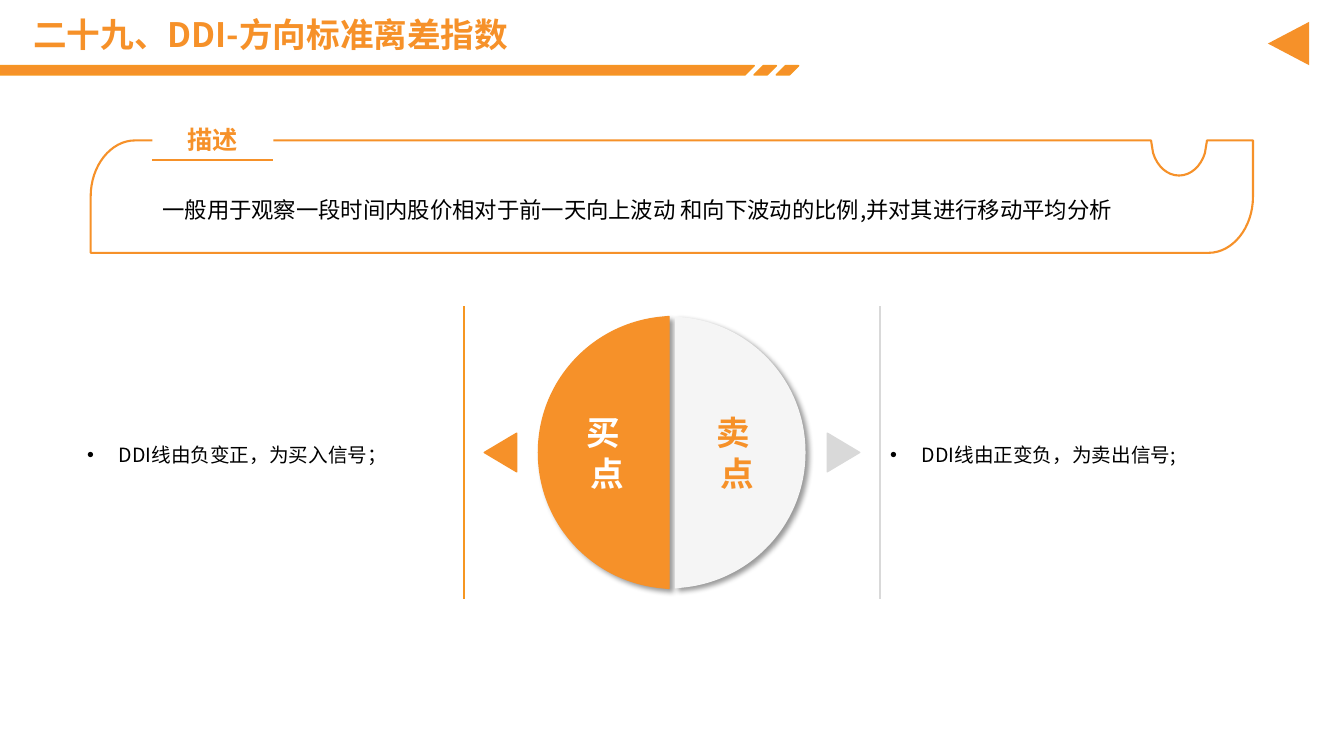
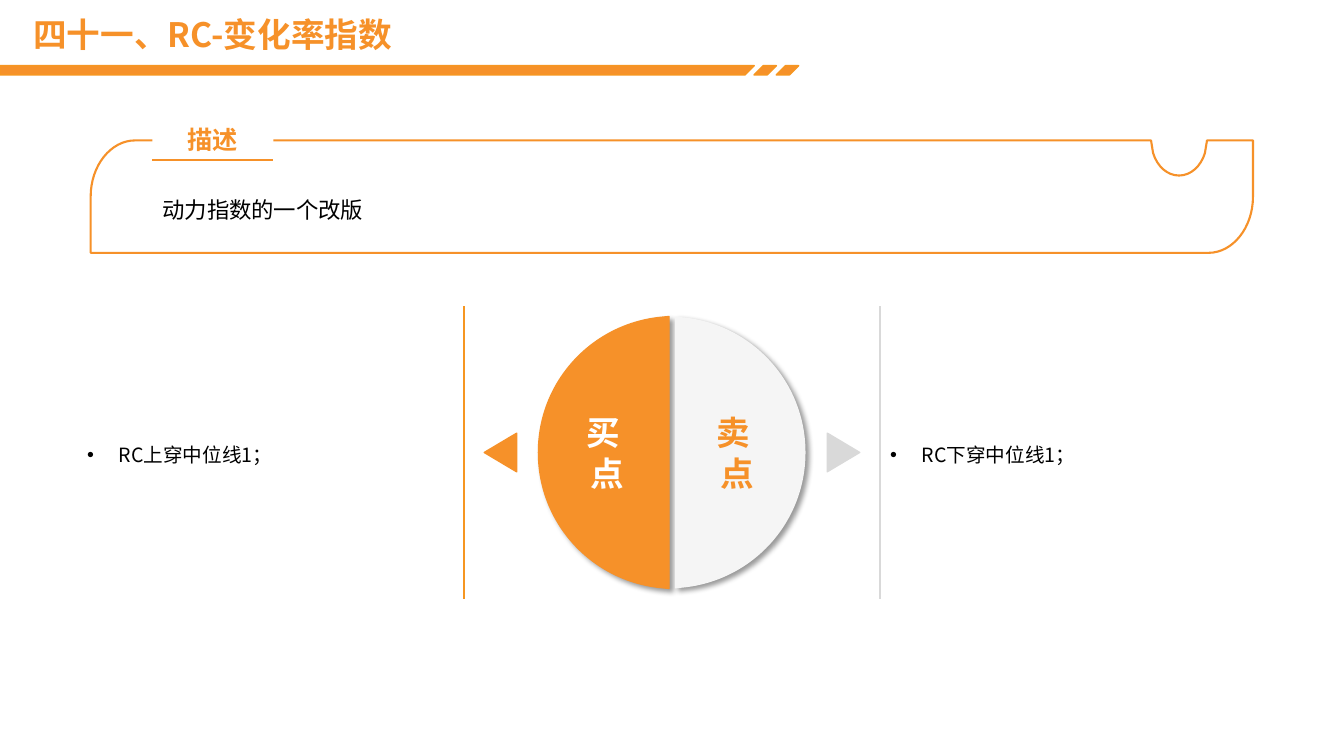
from dataclasses import dataclass
from itertools import chain, islice

from lxml.etree import SubElement
from pptx import Presentation
from pptx.dml.color import RGBColor
from pptx.enum.shapes import MSO_CONNECTOR as CONN, MSO_SHAPE as SHAPE
from pptx.enum.text import MSO_ANCHOR, MSO_AUTO_SIZE, PP_ALIGN as ALIGN
from pptx.oxml.ns import qn
from pptx.util import Pt

FONT = "Noto Sans CJK SC"
COLORS = {
    "orange": "F69129", "amber": "F69621", "grey": "D9D9D9",
    "pale": "F5F5F5", "white": "FFFFFF", "black": "000000",
}
Point = tuple[float, float]
Segment = tuple[Point, ...]  # one point is a line, three are a Bezier curve

MID_X, MID_Y = 480, 323.2
ARROW_REACH = 122.5


@dataclass(frozen=True)
class Side:
    direction: int
    label: str
    label_left: float
    label_color: str
    fill: str
    outline: str | None
    arrow: str
    rule: str
    rule_x: float
    list_left: float


@dataclass(frozen=True)
class Indicator:
    title: str
    description: str
    signals: tuple[str, str]
    back_arrow: bool = False


SIDES = (
    Side(-1, "买 \n点", 390.6, "white", "orange", "orange", "orange", "amber", 331.6, 55.1),
    Side(1, "卖 \n点", 483.6, "orange", "pale", None, "grey", "grey", 628.5, 628.7),
)
INDICATORS = (
    Indicator("二十九、DDI-方向标准离差指数",
              "一般用于观察一段时间内股价相对于前一天向上波动 和向下波动的比例,并对其进行移动平均分析",
              ("DDI线由负变正，为买入信号；", "DDI线由正变负，为卖出信号;"), back_arrow=True),
    Indicator("四十一、RC-变化率指数", "动力指数的一个改版",
              ("RC上穿中位线1；", "RC下穿中位线1；")),
)


def rgb(name: str) -> RGBColor:
    return RGBColor.from_string(COLORS[name])


def paint(sp, fill: str | None = None, line: str | None = None, width: float = 1):
    sp.shadow.inherit = False
    if fill:
        sp.fill.solid()
        sp.fill.fore_color.rgb = rgb(fill)
    else:
        sp.fill.background()
    if line:
        sp.line.color.rgb = rgb(line)
        sp.line.width = Pt(width)
    else:
        sp.line.fill.background()
    return sp


def write(tf, text: str, *, size: float, color: str, bold: bool = False,
          align=ALIGN.LEFT, spacing: float = 1, after: float = 0, bottom: float = 3.6) -> None:
    tf.word_wrap = True
    tf.auto_size = MSO_AUTO_SIZE.NONE
    tf.vertical_anchor = MSO_ANCHOR.MIDDLE
    tf.margin_bottom = Pt(bottom)
    tf.text = text
    for p in tf.paragraphs:
        p.alignment, p.line_spacing = align, spacing
        p.space_before, p.space_after = Pt(0), Pt(after)
        for r in p.runs:
            r.font.size, r.font.bold, r.font.name = Pt(size), bold, FONT
            r.font.color.rgb = rgb(color)
            SubElement(r.font._element, qn("a:ea"), typeface=FONT)


def add_bullet(p, indent: float) -> None:
    pPr = p._p.get_or_add_pPr()
    pPr.set("marL", str(Pt(indent)))
    pPr.set("indent", str(Pt(-indent)))
    SubElement(pPr, qn("a:buFont"), typeface="Arial")
    SubElement(pPr, qn("a:buChar"), char="•")


def place(sp, left: float, top: float, width: float, height: float) -> None:
    sp.left, sp.top, sp.width, sp.height = Pt(left), Pt(top), Pt(width), Pt(height)


def text_box(slide, left: float, top: float, width: float, height: float, text: str, **fmt):
    sp = slide.shapes.add_textbox(Pt(left), Pt(top), Pt(width), Pt(height))
    write(sp.text_frame, text, **fmt)


def line(slide, x1: float, y1: float, x2: float, y2: float, color: str) -> None:
    cxn = slide.shapes.add_connector(CONN.STRAIGHT, Pt(x1), Pt(y1), Pt(x2), Pt(y2))
    cxn.line.color.rgb = rgb(color)
    cxn.line.width = Pt(1.5)
    SubElement(cxn.element.spPr, qn("a:effectLst"))


def outline(slide, start: Point, segments: list[Segment], **look):
    """Draw a closed freeform, joining each three-point segment into a curve."""
    builder = slide.shapes.build_freeform(Pt(start[0]), Pt(start[1]))
    builder.add_line_segments([(Pt(x), Pt(y)) for x, y in chain(*segments)], close=True)
    sp = builder.convert_to_shape()
    nodes = iter(sp.element.xpath(".//a:lnTo"))
    for segment in segments:
        first, *rest = islice(nodes, len(segment))
        if rest:
            first.tag = qn("a:cubicBezTo")
        for node in rest:
            first.append(node[0])
            node.getparent().remove(node)
    return paint(sp, **look)


def triangle(slide, cx: float, cy: float, width: float, height: float, rotation: float, **look):
    sp = slide.shapes.add_shape(SHAPE.ISOSCELES_TRIANGLE, Pt(cx - width / 2),
                                Pt(cy - height / 2), Pt(width), Pt(height))
    sp.rotation = rotation
    paint(sp, **look)


def cast_shadow(sp) -> None:
    effects = sp.element.spPr.find(qn("a:effectLst"))
    shadow = SubElement(effects, qn("a:outerShdw"), blurRad=str(Pt(4)), dist=str(Pt(3)),
                        dir="2700000", algn="tl", rotWithShape="0")
    color = SubElement(shadow, qn("a:srgbClr"), val=COLORS["black"])
    SubElement(color, qn("a:alpha"), val="40000")


def set_up_layout(layout) -> None:
    """Move the title and list placeholders and drop the unused footers."""
    places = {0: (16.6, 10.8, 877.7, 31)}
    places |= {i: (s.list_left, 216.7, 275, 213.1) for i, s in enumerate(SIDES, 1)}
    for ph in list(layout.placeholders):
        idx = ph.placeholder_format.idx
        if idx in places:
            place(ph, *places[idx])
        else:
            layout.shapes.element.remove(ph.element)


def add_layout_bands(slide) -> None:
    """Draw the title bands and move them to the layout, behind every slide."""
    top, bottom, slant = 46.9, 53.5, 6.6
    bands = ((0, 0, 538.8), (545.2, 538.6, 554.6), (561.1, 554.5, 570.5))
    for i, (top_left, bottom_left, right) in enumerate(bands):
        sp = outline(slide, (top_left, top),
                     [((right, top),), ((right - slant, bottom),), ((bottom_left, bottom),)],
                     fill="orange", line="amber")
        sp.element.xpath("./p:nvSpPr/p:cNvPr")[0].set("id", str(100 + i))
        slide.slide_layout.shapes.element.append(sp.element)


def add_frame(slide) -> None:
    left, top, right, bottom = 64.8, 100.3, 895, 180.6
    rx, ry, bend_x, bend_y = 31.7, 40.3, 14.4, 18
    notch, dip, low = 842.2, 109.4, 125.4
    outline(slide, (left + rx, top), [
        ((notch - 20, top),),
        ((notch - 18.5, dip),),
        ((notch - 15.6, 118.8), (notch - 8.4, low), (notch, low)),
        ((notch + 8.4, low), (notch + 15.6, 118.8), (notch + 18.5, dip)),
        ((notch + 20, top),),
        ((right, top),),
        ((right, top + ry),),
        ((right, bottom - bend_y), (right - bend_x, bottom), (right - rx, bottom)),
        ((left, bottom),),
        ((left, bottom - ry),),
        ((left, top + bend_y), (left + bend_x, top), (left + rx, top)),
    ], line="orange", width=1.5)


def add_description(slide, text: str) -> None:
    text_box(slide, 108.9, 124.6, 771.8, 46, text, size=16, color="black",
             spacing=1.3, bottom=5.8)
    add_frame(slide)
    tab = slide.shapes.add_shape(SHAPE.RECTANGLE, Pt(108.9), Pt(83.8), Pt(86.4), Pt(31))
    paint(tab, fill="white")
    write(tab.text_frame, "描述", size=18, color="orange", bold=True, align=ALIGN.CENTER)
    line(slide, 108.9, 114.6, 195.3, 114.6, "orange")


def add_half_disc(slide, side: Side) -> None:
    def at(out: float, down: float) -> Point:
        return MID_X + side.direction * out, MID_Y + down

    half = outline(slide, at(2.1, -97.1), [
        (at(2.1, 97.1),),
        (at(8.3, 96.5),),
        (at(57.3, 91.4), at(95.4, 50.4), at(95.4, 0)),
        (at(95.4, -50.4), at(57.3, -91.4), at(8.3, -96.5)),
    ], fill=side.fill, line=side.outline)
    cast_shadow(half)


def add_side(slide, side: Side) -> None:
    d = side.direction
    add_half_disc(slide, side)
    text_box(slide, side.label_left, 286.9, 86.4, 72.7, side.label, size=24,
             color=side.label_color, bold=True, align=ALIGN.CENTER)
    triangle(slide, MID_X + d * ARROW_REACH, MID_Y, 27.6, 23.2, 90 * d % 360,
             fill=side.arrow, line=side.arrow)
    line(slide, side.rule_x, 218.9, side.rule_x, 427.7, side.rule)


def add_indicator(slide, item: Indicator) -> None:
    write(slide.shapes.title.text_frame, item.title, size=24, color="orange",
          bold=True, spacing=0.9)
    for i, (side, signal) in enumerate(zip(SIDES, item.signals), 1):
        tf = slide.placeholders[i].text_frame
        write(tf, signal, size=14, color="black", spacing=1.2, after=6)
        add_bullet(tf.paragraphs[0], 22.4)
        add_side(slide, side)
    add_description(slide, item.description)
    if item.back_arrow:
        triangle(slide, 920.4, 31.1, 31, 29.5, 270, fill="orange")


def main() -> None:
    prs = Presentation()
    prs.slide_width, prs.slide_height = Pt(960), Pt(540)
    layout = prs.slide_layouts.get_by_name("Two Content")
    set_up_layout(layout)
    slides = [prs.slides.add_slide(layout) for _ in INDICATORS]
    add_layout_bands(slides[0])
    for slide, item in zip(slides, INDICATORS):
        add_indicator(slide, item)
    prs.save("out.pptx")


if __name__ == "__main__":
    main()
